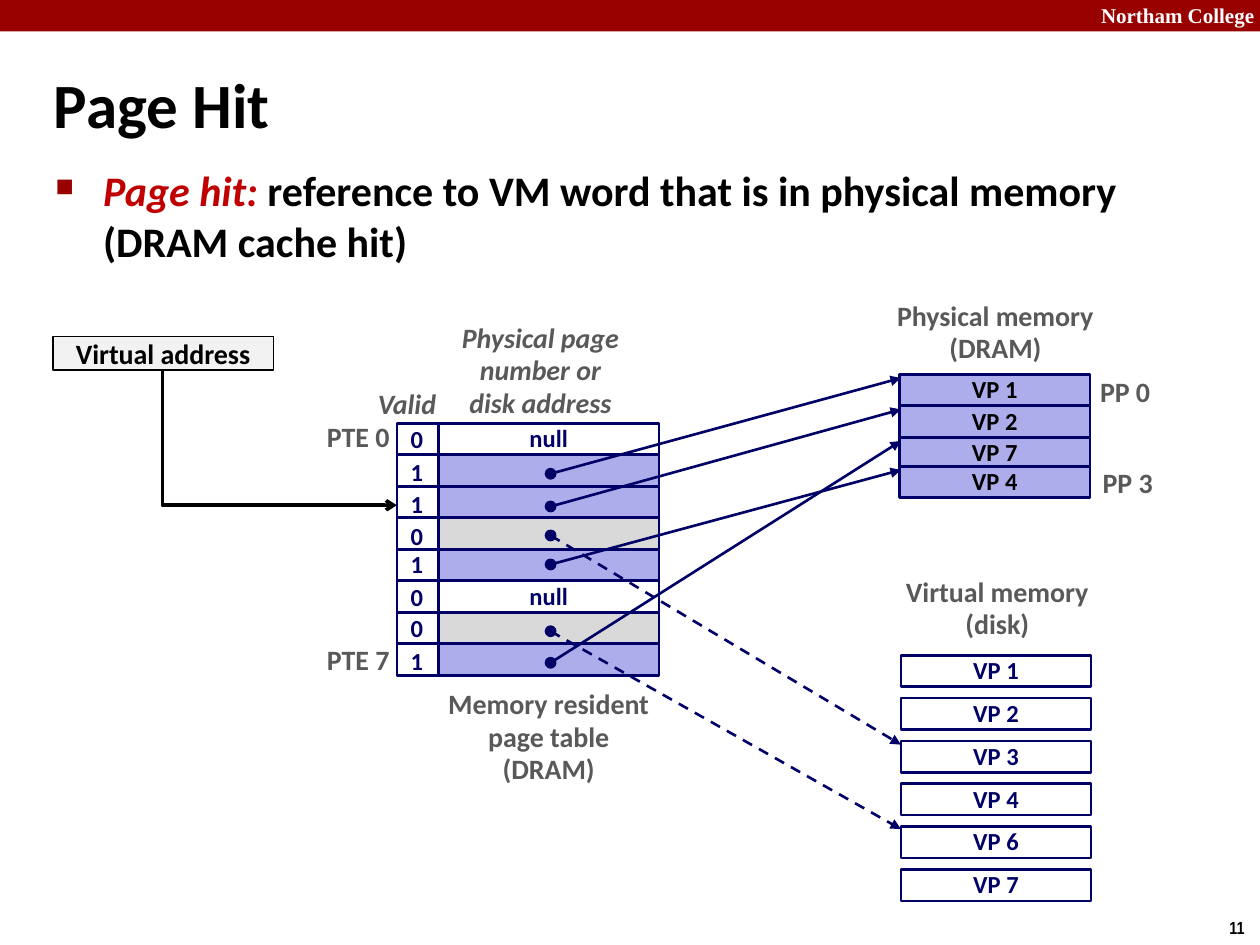
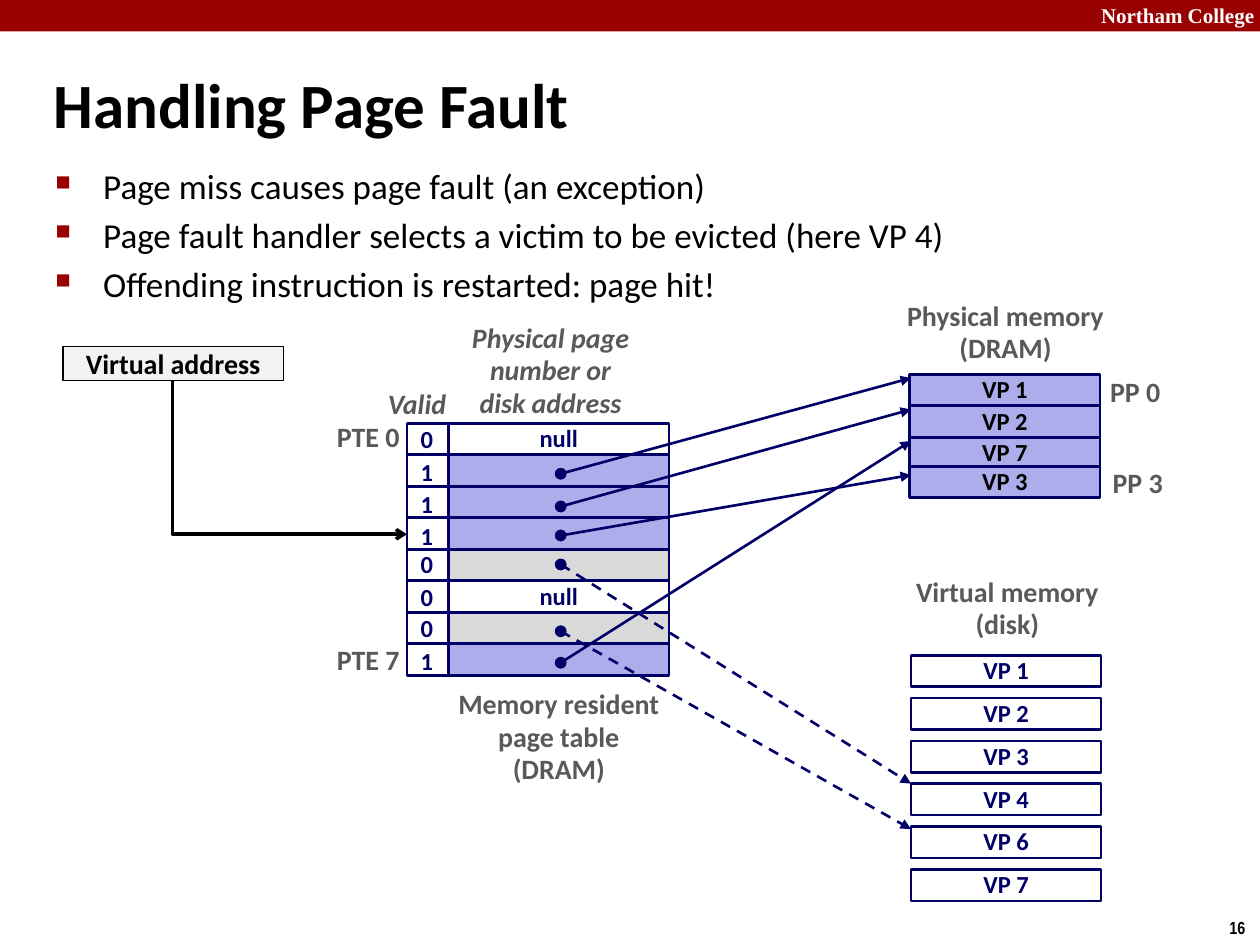
from pptx import Presentation
from pptx.dml.color import RGBColor
from pptx.enum import dml, shapes, text
from pptx.oxml import ns, xmlchemy as xc
from pptx.util import Inches, Pt

RED = RGBColor(0x99, 0x00, 0x00)
ACCENT = RGBColor(0xC0, 0x00, 0x00)
NAVY = RGBColor(0x00, 0x00, 0x66)
BLUE = RGBColor(0xAD, 0xAD, 0xEB)
GREY = RGBColor(0xD9, 0xD9, 0xD9)
PALE = RGBColor(0xF2, 0xF2, 0xF2)
LABEL = RGBColor(0x59, 0x59, 0x59)
BLACK = RGBColor(0x00, 0x00, 0x00)
WHITE = RGBColor(0xFF, 0xFF, 0xFF)

LEFT, MID, RIGHT = text.PP_ALIGN.LEFT, text.PP_ALIGN.CENTER, text.PP_ALIGN.RIGHT
TOP, CENTER = text.MSO_ANCHOR.TOP, text.MSO_ANCHOR.MIDDLE
RECT, OVAL = shapes.MSO_SHAPE.RECTANGLE, shapes.MSO_SHAPE.OVAL

ROW = 0.25
DIGITS = [-0.03, 0.23, 0.48, 0.74, 0.96, 1.22, 1.47, 1.73]
DOTS = {1: 0.36, 2: 0.62, 3: 0.85, 4: 1.08, 6: 1.61, 7: 1.86}
DISK = ["VP 1", "VP 2", "VP 3", "VP 4", "VP 6", "VP 7"]


def node(parent, tag, **attrs):
    """Append a drawing element with its attributes."""
    item = xc.OxmlElement(tag)
    for key, val in attrs.items():
        item.set(key, val)
    parent.append(item)
    return item


def add_run(para, words, size, color, bold=True, ital=False, face="Calibri"):
    """Add one styled run to a paragraph."""
    run = para.add_run()
    run.text = words
    font = run.font
    font.name, font.size, font.bold, font.italic = face, Pt(size), bold, ital
    font.color.rgb = color


def write(frame, lines, size, color, align=LEFT, anchor=TOP, wrap=False,
          space=None, **style):
    """Fill a text frame with one paragraph for each line."""
    frame.word_wrap = wrap
    frame.vertical_anchor = anchor
    for i, line in enumerate(lines):
        para = frame.paragraphs[0] if i == 0 else frame.add_paragraph()
        para.alignment = align
        para.line_spacing = space
        add_run(para, line, size, color, **style)


def add_text(slide, box, lines, size, color, **style):
    """Add a text box."""
    frame = slide.shapes.add_textbox(*map(Inches, box)).text_frame
    write(frame, lines, size, color, **style)


def label(slide, box, *lines, size=16, color=LABEL, align=MID, **style):
    """Add a bold diagram label."""
    add_text(slide, box, lines, size, color, align=align, space=0.98, **style)


def add_box(slide, box, fill=None, line=NAVY, width=1.5, kind=RECT):
    """Add a flat shape with optional fill and outline."""
    shape = slide.shapes.add_shape(kind, *map(Inches, box))
    shape.shadow.inherit = False
    if fill is None:
        shape.fill.background()
    else:
        shape.fill.solid()
        shape.fill.fore_color.rgb = fill
    if line is None:
        shape.line.fill.background()
    else:
        shape.line.color.rgb = line
        shape.line.width = Pt(width)
    return shape


def add_cell(slide, box, fill, words, color):
    """Add a filled cell with a centred caption."""
    frame = add_box(slide, box, fill).text_frame
    write(frame, [words], 14, color, align=MID, anchor=CENTER, space=0.98)


def add_line(slide, start, end, color, width, head, kind=shapes.MSO_CONNECTOR.STRAIGHT):
    """Add a connector that ends in an arrowhead."""
    link = slide.shapes.add_connector(kind, *map(Inches, start + end))
    link.line.color.rgb = color
    link.line.width = Pt(width)
    props = link.element.spPr
    node(props, "a:effectLst")
    node(link.line._get_or_add_ln(), "a:tailEnd", type=head)
    return link


def add_elbow(slide, start, end):
    """Add an arrow that runs down and then right."""
    (x1, y1), (x2, y2) = start, end
    cx, cy = (x1 + x2) / 2, (y1 + y2) / 2
    dx, dy = (x2 - x1) / 2, (y2 - y1) / 2
    link = add_line(slide, (cx - dy, cy - dx), (cx + dy, cy + dx), BLACK, 2,
                    "arrow", shapes.MSO_CONNECTOR.ELBOW)
    props = link.element.spPr
    props.find(ns.qn("a:prstGeom")).set("prst", "bentConnector2")
    turn = props.find(ns.qn("a:xfrm"))
    turn.set("rot", "16200000")
    turn.set("flipH", "1")


def add_frame(slide, title, number):
    """Draw the band, the title and the page number."""
    add_box(slide, (0, 0, 10, 0.25), RED, None)
    add_text(slide, (8.64, -0.03, 1.43, 0.3), ["Northam College"], 12, WHITE,
             wrap=True, face="Times New Roman")
    add_text(slide, (9.66, 7.23, 0.34, 0.27), [number], 10, BLACK, face="Arial Narrow")
    add_text(slide, (0.33, 0.39, 9.06, 0.86), [title], 36, BLACK, anchor=CENTER, wrap=True)


def add_points(slide, box, points, size):
    """Draw bulleted points, each a list of runs."""
    frame = slide.shapes.add_textbox(*map(Inches, box)).text_frame
    frame.word_wrap = True
    for i, runs in enumerate(points):
        para = frame.paragraphs[0] if i == 0 else frame.add_paragraph()
        para.space_before = Pt(size * 0.2)
        props = para._p.get_or_add_pPr()
        props.set("marL", str(Inches(0.38)))
        props.set("indent", str(-Inches(0.38)))
        node(node(props, "a:buClr"), "a:srgbClr", val=str(RED))
        node(props, "a:buSzPct", val="60000")
        node(props, "a:buChar", char="■")
        for words, color, bold, ital in runs:
            add_run(para, words, size, color, bold, ital)


def add_pages(slide, x, y, rows):
    """Draw the page table with its labels."""
    for i, (valid, target) in enumerate(rows):
        top = y + i * ROW
        box = (x + 0.33, top, 1.75, ROW)
        if target is None:
            add_cell(slide, box, WHITE, "null", NAVY)
        else:
            add_box(slide, box, BLUE if valid else GREY)
        add_box(slide, (x, top, 0.33, ROW))
        label(slide, (x + 0.01, y + DIGITS[i], 0.31, 0.33), str(valid),
              size=14, color=NAVY, align=LEFT)
    label(slide, (x - 0.25, y - 0.33, 0.75, 0.37), "Valid", align=LEFT, wrap=True, ital=True)
    label(slide, (x + 0.41, y - 0.86, 1.46, 0.89), "Physical page", "number or",
          "disk address", anchor=CENTER, ital=True)
    label(slide, (x + 0.28, y + 2.05, 1.85, 0.89), "Memory resident", "page table", "(DRAM)")
    for name, top in (("PTE 0", -0.07), ("PTE 7", 1.7)):
        label(slide, (x - 0.66, y + top, 0.7, 0.37), name, align=RIGHT,
              anchor=CENTER, wrap=True)


def add_dram(slide, x, y, pages):
    """Draw physical memory with its labels."""
    label(slide, (x - 0.13, y - 0.64, 1.78, 0.63), "Physical memory", "(DRAM)")
    for name, top in zip(pages, (0, 0.25, 0.5, 0.73)):
        add_cell(slide, (x, y + top, 1.51, ROW), BLUE, name, BLACK)
    for name, left, top in (("PP 0", 1.49, -0.04), ("PP 3", 1.51, 0.68)):
        label(slide, (x + left, y + top, 0.6, 0.37), name, anchor=CENTER, wrap=True)


def add_disk(slide, x, y):
    """Draw virtual memory on disk."""
    label(slide, (x - 0.08, y - 0.68, 1.69, 0.63), "Virtual memory", "(disk)")
    for i, name in enumerate(DISK):
        add_cell(slide, (x, y + i * 0.34, 1.51, ROW), WHITE, name, NAVY)


def add_links(slide, x, y, rows, right):
    """Draw the dots and the arrows from table entries to memory."""
    for i, (valid, target) in enumerate(rows):
        if target is None:
            continue
        top = y + DOTS[i]
        add_box(slide, (x + 1.18, top, 0.08, 0.08), NAVY, width=1, kind=OVAL)
        link = add_line(slide, (x + 1.22, top + 0.04), (right, target), NAVY, 1.5, "triangle")
        if not valid:
            link.line.dash_style = dml.MSO_LINE.DASH


def add_source(slide, x, y, end):
    """Draw the virtual address and its arrow into the table."""
    box = add_box(slide, (x, y, 1.75, 0.27), PALE, BLACK, 1)
    write(box.text_frame, ["Virtual address"], 16, BLACK, align=MID,
          anchor=CENTER, wrap=True)
    add_elbow(slide, (x + 0.87, y + 0.27), end)


def add_slide(deck, title, number, points, size, high, shift, rows, pages, hit):
    """Build one address translation slide."""
    slide = deck.slides.add_slide(deck.slide_layouts[6])
    add_frame(slide, title, number)
    add_points(slide, (0.34, 1.26, 9.09, high), points, size)
    left, right, top = 3.15 + shift, 7.15 + shift, 3.36
    add_pages(slide, left, top, rows)
    add_dram(slide, right - 0.01, 2.97, pages)
    add_disk(slide, right, 5.2)
    add_links(slide, left, top, rows, right)
    add_source(slide, 0.42 + shift, 2.67 + shift, (left, hit))


def main():
    """Build and save the deck."""
    deck = Presentation()
    deck.slide_width, deck.slide_height = Inches(10), Inches(7.5)
    hit = [[("Page hit: ", ACCENT, True, True),
            ("reference to VM word that is in physical memory (DRAM cache hit)",
             BLACK, True, False)]]
    fault = [[(words, BLACK, False, False)] for words in (
        "Page miss causes page fault (an exception)",
        "Page fault handler selects a victim to be evicted (here VP 4)",
        "Offending instruction is restarted: page hit!")]
    first = [(0, None), (1, 3.0), (1, 3.25)]
    last = [(0, None), (0, 6.58), (1, 3.5)]
    add_slide(deck, "Page Hit", "11", hit, 24, 0.66, 0,
              first + [(0, 5.91), (1, 3.73)] + last,
              ["VP 1", "VP 2", "VP 7", "VP 4"], 4.01)
    add_slide(deck, "Handling Page Fault", "16", fault, 20, 0.83, 0.08,
              first + [(1, 3.77), (0, 6.22)] + last,
              ["VP 1", "VP 2", "VP 7", "VP 3"], 4.24)
    deck.save("out.pptx")


if __name__ == "__main__":
    main()
